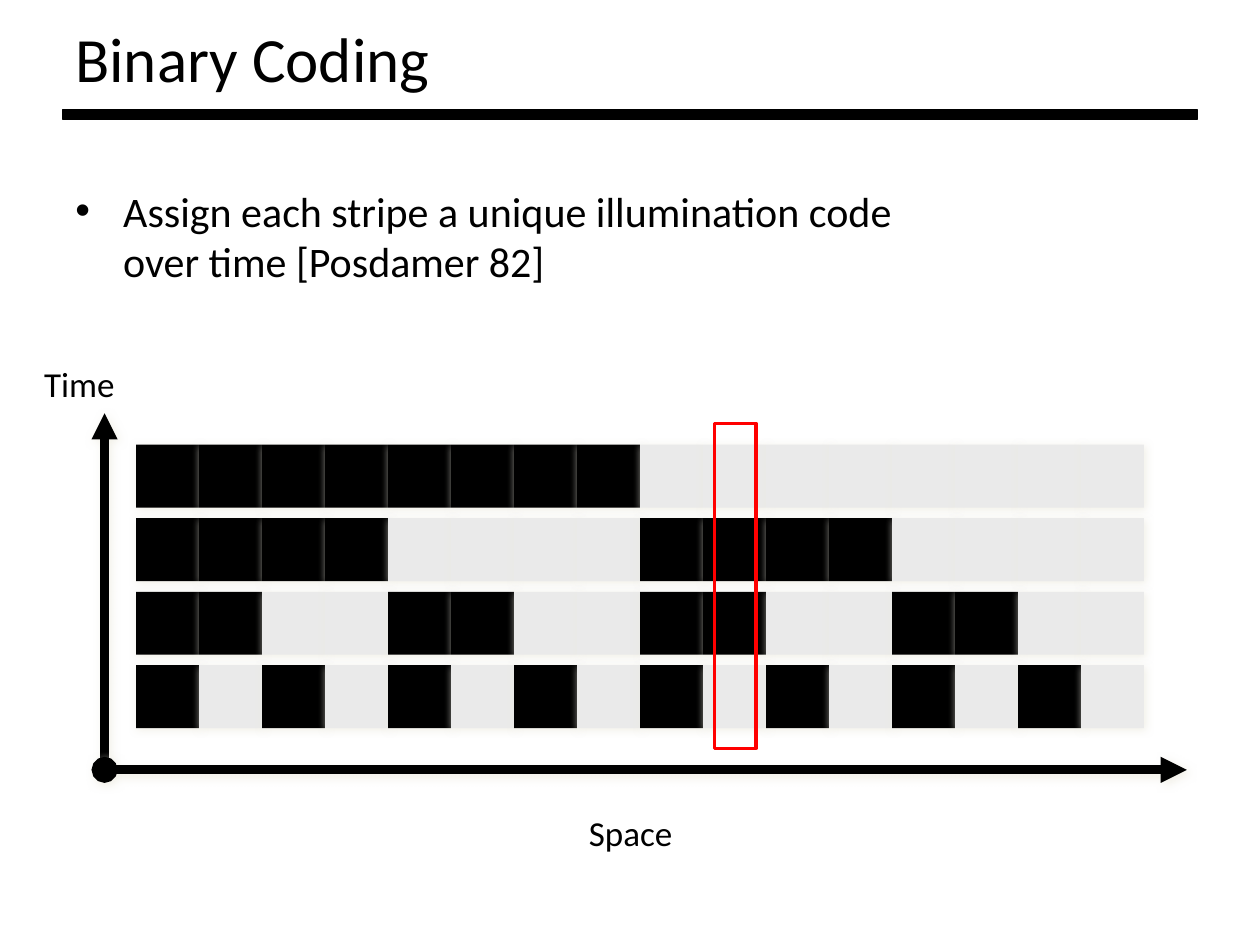
from lxml import etree
from pptx import Presentation
from pptx.dml.color import RGBColor
from pptx.enum.shapes import MSO_CONNECTOR, MSO_SHAPE
from pptx.enum.text import MSO_ANCHOR, MSO_AUTO_SIZE, PP_ALIGN
from pptx.oxml.ns import qn
from pptx.util import Inches, Pt

RECTANGLE = MSO_SHAPE.RECTANGLE
STRAIGHT = MSO_CONNECTOR.STRAIGHT
TOP, MIDDLE = MSO_ANCHOR.TOP, MSO_ANCHOR.MIDDLE
LEFT, CENTER = PP_ALIGN.LEFT, PP_ALIGN.CENTER
GROW, FIXED = MSO_AUTO_SIZE.SHAPE_TO_FIT_TEXT, MSO_AUTO_SIZE.NONE

BLACK, LIGHT, RED, SHADOW = "000000", "EAEAEA", "FF0000", "EEECE1"
BITS = 4
STRIPE = 0.5
ROW_PITCH = 7 / 12
CODE_LEFT, CODE_TOP = 1.08, 3.53
ORIGIN_X, ORIGIN_Y = 0.83, 6.11


def colour(value):
    return RGBColor.from_string(value)


class CodingSlide:
    """Holds the style and the current slide, and draws each kind of element."""

    font_format = {"name": "Calibri", "color": BLACK}

    def __init__(self, presentation):
        self.slide = presentation.slides.add_slide(presentation.slide_layouts[6])

    def text(self, box, wording, size, align=LEFT, anchor=TOP, wrap=True, bullet=None):
        frame = self.slide.shapes.add_textbox(*map(Inches, box)).text_frame
        frame_format = {
            "word_wrap": wrap,
            "vertical_anchor": anchor,
            "auto_size": FIXED if wrap else GROW,
        }
        for name, value in frame_format.items():
            setattr(frame, name, value)
        paragraph = frame.paragraphs[0]
        paragraph.text = wording
        paragraph.alignment = align
        if bullet:
            properties = paragraph._p.get_or_add_pPr()
            properties.set("marL", str(Inches(0.38)))
            properties.set("indent", str(-Inches(0.38)))
            etree.SubElement(properties, qn("a:buFont"), typeface="Arial")
            etree.SubElement(properties, qn("a:buChar"), char=bullet)
        for run in paragraph.runs:
            for name, value in {**self.font_format, "size": Pt(size)}.items():
                if name == "color":
                    run.font.color.rgb = colour(value)
                else:
                    setattr(run.font, name, value)

    def rectangle(self, box, fill=None, line=None, weight=0.75, shadow=False):
        shape = self.slide.shapes.add_shape(RECTANGLE, *map(Inches, box))
        shape.shadow.inherit = False
        if fill:
            shape.fill.solid()
            shape.fill.fore_color.rgb = colour(fill)
        else:
            shape.fill.background()
        if line:
            shape.line.color.rgb = colour(line)
            shape.line.width = Pt(weight)
        else:
            shape.line.fill.background()
        if shadow:
            self.cast_shadow(shape._element.spPr.find(qn("a:effectLst")))

    def axis(self, end, **ends):
        points = map(Inches, (ORIGIN_X, ORIGIN_Y, *end))
        arrow = self.slide.shapes.add_connector(STRAIGHT, *points)
        arrow.line.color.rgb = colour(BLACK)
        arrow.line.width = Pt(5)
        outline = arrow.line._get_or_add_ln()
        for tag, kind in ends.items():
            etree.SubElement(outline, qn(f"a:{tag}"), type=kind)
        self.cast_shadow(etree.SubElement(arrow._element.spPr, qn("a:effectLst")))

    def cast_shadow(self, effects):
        shadow = etree.SubElement(
            effects, qn("a:outerShdw"), blurRad=str(Pt(5)), dist=str(Pt(1.4)),
            dir=str(45 * 60000), algn="ctr", rotWithShape="0",
        )
        tint = etree.SubElement(shadow, qn("a:srgbClr"), val=SHADOW)
        etree.SubElement(tint, qn("a:alpha"), val="75000")


def main():
    presentation = Presentation()
    presentation.slide_width, presentation.slide_height = Inches(10), Inches(7.5)
    coding = CodingSlide(presentation)

    coding.text((0.5, -0.17, 9, 1.25), "Binary Coding", 36, anchor=MIDDLE)
    coding.text(
        (0.5, 1.42, 9, 4.95),
        "Assign each stripe a unique illumination code\nover time [Posdamer 82]",
        24, bullet="•",
    )
    coding.axis((ORIGIN_X, 3.28), tailEnd="triangle")
    coding.text((4.51, 6.39, 0.99, 0.43), "Space", 20, align=CENTER, wrap=False)
    coding.text((0.22, 2.83, 0.82, 0.43), "Time", 20, align=CENTER, wrap=False)
    coding.axis((9.42, ORIGIN_Y), headEnd="oval", tailEnd="triangle")

    for row in range(BITS):
        for stripe in range(2 ** BITS):
            lit = stripe >> (BITS - 1 - row) & 1
            left = CODE_LEFT + stripe * STRIPE
            top = CODE_TOP + row * ROW_PITCH
            coding.rectangle(
                (left, top, STRIPE, STRIPE), fill=LIGHT if lit else BLACK, shadow=True
            )

    coding.rectangle((5.67, 3.36, 0.33, 2.58), line=RED, weight=2)
    coding.rectangle((0.5, 0.87, 9, 0.08), fill=BLACK, line=BLACK)
    presentation.save("out.pptx")


if __name__ == "__main__":
    main()
